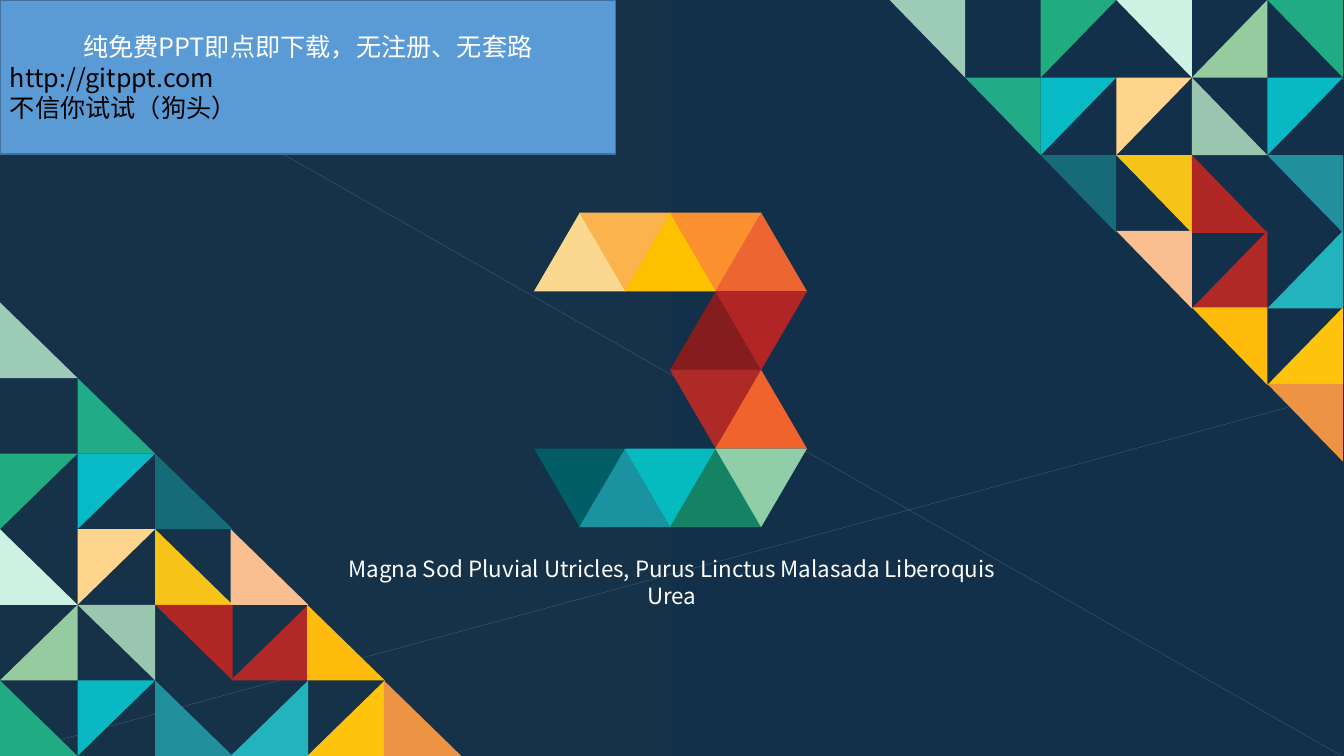
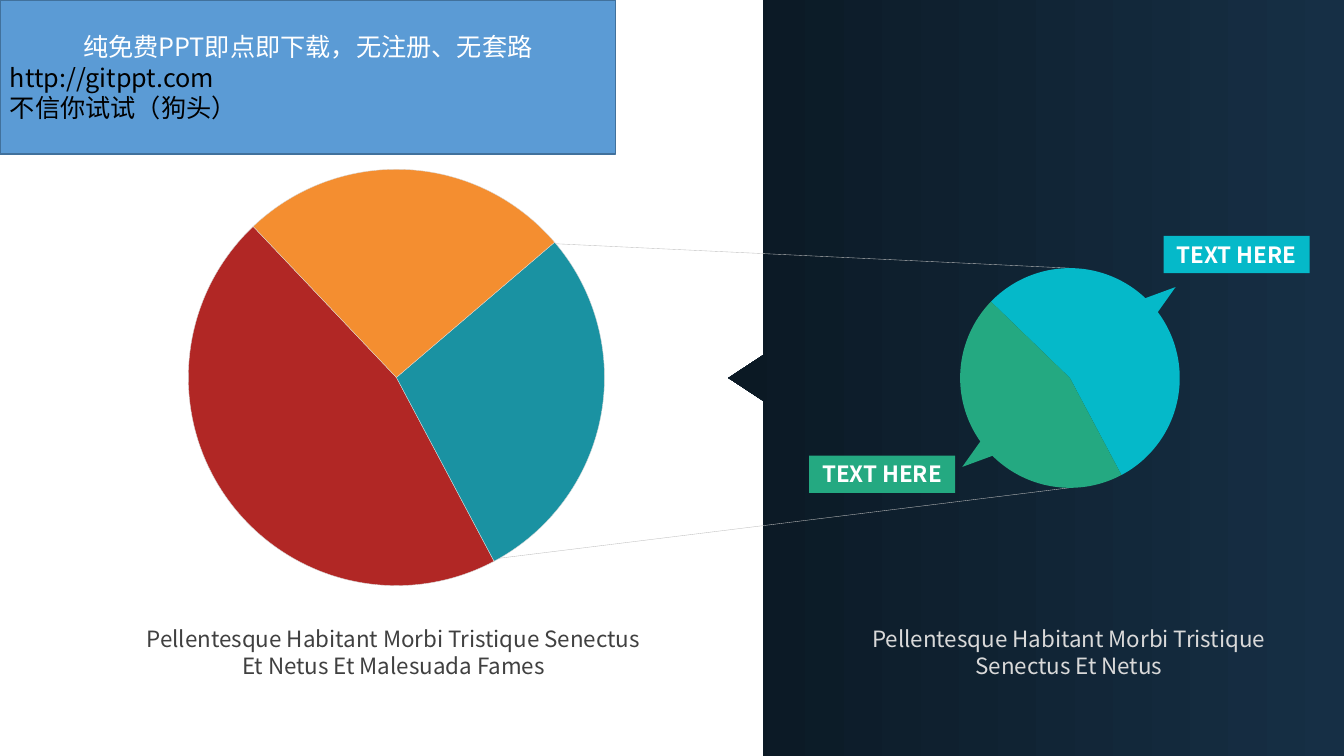
from lxml import etree
from pptx import Presentation
from pptx.dml.color import RGBColor
from pptx.enum.shapes import MSO_CONNECTOR, MSO_SHAPE as SHAPE
from pptx.enum.text import MSO_ANCHOR as ANCHOR, PP_ALIGN as ALIGN
from pptx.oxml.ns import qn
from pptx.util import Pt

PX = 9144  # EMU per px, 100 px to the inch
SLIDE_W, SLIDE_H = 1334, 750


class Theme:
    font = "Noto Sans CJK SC"
    size, banner_size = 16, 18
    hairline, border = 0.25, 1
    white, black, dark, pale = "FFFFFF", "000000", "404040", "D9D9D9"
    guide = "BFBFBF"
    banner, banner_line = "5B9BD5", "41719C"
    night = ("123049", "153249")
    panel = ("162F45", "0B1924")
    red, teal, orange = "B12725", "1A92A2", "F48E30"
    cyan, green = "05B9C9", "24A981"
    # Mosaic cells: row by row, column -> (colour, flip)
    mosaic = [
        {0: ("9CCCB8", "")},
        {1: ("21AB87", "")},
        {0: ("20AC7E", "v"), 1: ("08BAC5", "v"), 2: ("176A78", "")},
        {0: ("CDF2E4", ""), 1: ("FFD48D", "v"), 2: ("F6C319", ""),
         3: ("FABF91", "")},
        {0: ("96CBA0", "h"), 1: ("9AC5AF", "hv"), 2: ("B02725", "hv"),
         3: ("B12926", "h"), 4: ("FFBB0C", "")},
        {0: ("21AB82", ""), 1: ("08B8C2", "v"), 2: ("22909C", ""),
         3: ("23B3BD", "h"), 4: ("FEC30B", "h"), 5: ("ED9444", "")},
    ]
    # Numeral rows: half-width column -> colour
    numeral = [
        {0: "FAD88F", 1: "FBB34D", 2: "FDC100", 3: "FC902E", 4: "ED6531"},
        {3: "851C1E", 4: "B12524"},
        {3: "AE2A27", 4: "F0632C"},
        {0: "015E66", 1: "1B929F", 2: "05BBBF", 3: "158363", 4: "8FCEA9"},
    ]


def add_shape(s, kind, box, fill, flip="", line=None, width=Theme.hairline,
              rotation=0):
    """Add a preset shape; flip is any of "h" and "v"."""
    sp = s.shapes.add_shape(kind, *(v * PX for v in box))
    sp.shadow.inherit = False
    sp.fill.solid()
    sp.fill.fore_color.rgb = RGBColor.from_string(fill)
    sp.rotation = rotation
    for axis in flip:
        sp._element.spPr.xfrm.set("flip" + axis.upper(), "1")
    if line:
        sp.line.color.rgb = RGBColor.from_string(line)
        sp.line.width = Pt(width)
    else:
        sp.line.fill.background()
    return sp


def write_text(sp, *lines, color=Theme.white, size=Theme.size, bold=False,
               anchor=ANCHOR.TOP):
    """Write each line, either text or (text, colour, alignment)."""
    tf = sp.text_frame
    tf.word_wrap = True
    tf.vertical_anchor = anchor
    for i, line in enumerate(lines):
        if isinstance(line, str):
            line = line, color, ALIGN.CENTER
        text, line_color, align = line
        p = tf.add_paragraph() if i else tf.paragraphs[0]
        p.alignment = align
        r = p.add_run()
        r.text = text
        r.font.name = Theme.font
        r.font.size = Pt(size)
        r.font.bold = bold
        r.font.color.rgb = RGBColor.from_string(line_color)
        etree.SubElement(r._r.rPr, qn("a:ea"), typeface=Theme.font)


prs = Presentation()
prs.slide_width, prs.slide_height = SLIDE_W * PX, SLIDE_H * PX
section, comparison = [prs.slides.add_slide(prs.slide_layouts[6])
                       for _ in range(2)]

# Backdrops: gradient page and notched side panel
builder = comparison.shapes.build_freeform(SLIDE_W, 0, scale=PX)
builder.add_line_segments([(758, 0), (758, 352), (723, 375), (758, 398),
                           (758, SLIDE_H), (SLIDE_W, SLIDE_H)])
panel = builder.convert_to_shape()
panel.shadow.inherit = False
panel.line.fill.background()
for fill, colors in [(section.background.fill, Theme.night),
                     (panel.fill, Theme.panel)]:
    fill.gradient()
    fill.gradient_angle = 180
    for stop, color in zip(fill.gradient_stops, colors):
        stop.color.rgb = RGBColor.from_string(color)

# Thin guide lines
for s, ends, color, opacity in [
    (section, (12, 0, 1332, 750), Theme.pale, 25),
    (section, (0, 750, 1334, 389), Theme.pale, 25),
    (comparison, (534, 241, 1061, 266), Theme.guide, 100),
    (comparison, (486, 555, 1061, 484), Theme.guide, 100),
]:
    cn = s.shapes.add_connector(MSO_CONNECTOR.STRAIGHT, *(v * PX for v in ends))
    cn.line.color.rgb = RGBColor.from_string(color)
    cn.line.width = Pt(Theme.hairline)
    clr = cn.line._ln.find(".//" + qn("a:srgbClr"))
    etree.SubElement(clr, qn("a:alpha"), val=str(opacity * 1000))
    etree.SubElement(cn._element.spPr, qn("a:effectLst"))

# Section slide: the top right mosaic is the bottom left one, transposed
COLUMNS = (0, 77, 154, 229, 305, 381)
CELL_W, CELL_H = 77, 75
TRANSPOSED = {"": "hv", "h": "h", "v": "v", "hv": ""}
for row, cells in enumerate(Theme.mosaic):
    for col, (color, flip) in cells.items():
        along, across = COLUMNS[col], row * CELL_H
        add_shape(section, SHAPE.RIGHT_TRIANGLE,
                  (along, 300 + across, CELL_W, CELL_H), color, flip)
        add_shape(section, SHAPE.RIGHT_TRIANGLE,
                  (883 + across, along, CELL_H, CELL_W), color,
                  TRANSPOSED[flip])

# Numeral 3 made of alternating triangles
for row, cells in enumerate(Theme.numeral):
    for col, color in cells.items():
        add_shape(section, SHAPE.ISOSCELES_TRIANGLE,
                  (530 + 45 * col, 211 + 78 * row, 91, 78), color,
                  "v" if (row + col) % 2 else "")

# Comparison slide: pie slices, angles in degrees clockwise from the right
BIG_PIE, SMALL_PIE = (187, 168, 413, 413), (953, 266, 218, 218)
for box, start, end, color, line in [
    (BIG_PIE, 62, 226.5, Theme.red, Theme.pale),
    (BIG_PIE, 319.5, 62, Theme.teal, Theme.pale),
    (BIG_PIE, 226.5, 319.5, Theme.orange, Theme.pale),
    (SMALL_PIE, 224, 62, Theme.cyan, None),
    (SMALL_PIE, 62, 224, Theme.green, None),
]:
    slice_ = add_shape(comparison, SHAPE.PIE, box, color, line=line)
    for i, angle in enumerate((start, end)):
        slice_.adjustments[i] = angle * 0.6  # 60000 units per degree

# Pointers and labels of the small pie
for pointer, rotation, label, color in [
    ((960, 419, 34, 55), 232.6, (803, 452, 145, 37), Theme.green),
    ((1128, 274, 34, 55), 52.6, (1155, 234, 145, 37), Theme.cyan),
]:
    add_shape(comparison, SHAPE.ISOSCELES_TRIANGLE, pointer, color,
              rotation=rotation)
    write_text(add_shape(comparison, SHAPE.RECTANGLE, label, color),
               "TEXT HERE", bold=True)

# Captions
for s, box, text, color in [
    (section, (334, 546, 666, 64),
     "Magna Sod Pluvial Utricles, Purus Linctus Malasada Liberoquis Urea",
     Theme.white),
    (comparison, (126, 615, 529, 64),
     "Pellentesque Habitant Morbi Tristique Senectus Et Netus Et Malesuada "
     "Fames", Theme.dark),
    (comparison, (847, 615, 428, 64),
     "Pellentesque Habitant Morbi Tristique Senectus Et Netus", Theme.pale),
]:
    write_text(s.shapes.add_textbox(*(v * PX for v in box)), text, color=color)

# Banner on top of both slides
for s in prs.slides:
    banner = add_shape(s, SHAPE.RECTANGLE, (0, 0, 611, 153), Theme.banner,
                       line=Theme.banner_line, width=Theme.border)
    write_text(banner, "纯免费PPT即点即下载，无注册、无套路",
               ("http://gitppt.com", Theme.black, ALIGN.LEFT),
               ("不信你试试（狗头）", Theme.black, ALIGN.LEFT),
               size=Theme.banner_size, anchor=ANCHOR.MIDDLE)

prs.save("out.pptx")
